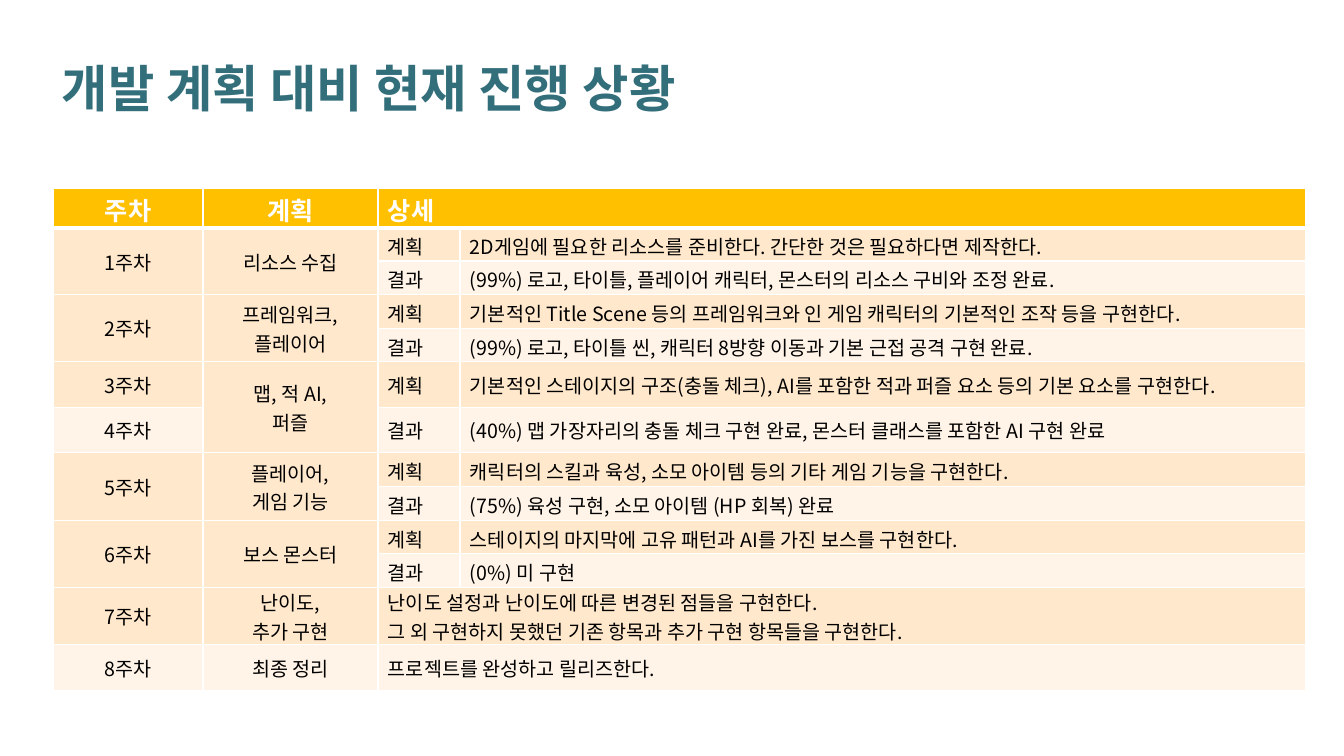
from lxml import etree
from pptx import Presentation
from pptx.dml.color import RGBColor
from pptx.enum.text import MSO_ANCHOR, PP_ALIGN
from pptx.oxml.ns import qn
from pptx.util import Emu, Pt

CENTER, LEFT = PP_ALIGN.CENTER, PP_ALIGN.LEFT
TOP, MIDDLE = MSO_ANCHOR.TOP, MSO_ANCHOR.MIDDLE

TITLE = "개발 계획 대비 현재 진행 상황"
TITLE_BOX = (52, 52, 683, 72)
HANGUL_FONT = "Noto Sans CJK KR"
TITLE_FORMAT = {"name": "Roboto", "size": Pt(36), "bold": True}
HEADER_FORMAT = {"name": HANGUL_FONT, "size": Pt(18), "bold": True}
BODY_FORMAT = {"name": HANGUL_FONT, "size": Pt(14), "bold": False}
TITLE_COLOR, WHITE, BLACK = "336E7B", "FFFFFF", "000000"
HEADER_FILL, DARK_BAND, LIGHT_BAND = "FFC000", "FFE8CC", "FFF4E7"

# An empty string continues a merged cell.
ROWS = [
    ("주차", "계획", "상세", ""),
    ("1주차", "리소스 수집", "계획", "2D게임에 필요한 리소스를 준비한다. 간단한 것은 필요하다면 제작한다."),
    ("", "", "결과", "(99%) 로고, 타이틀, 플레이어 캐릭터, 몬스터의 리소스 구비와 조정 완료."),
    ("2주차", "프레임워크,\n플레이어", "계획",
     "기본적인 Title Scene 등의 프레임워크와 인 게임 캐릭터의 기본적인 조작 등을 구현한다."),
    ("", "", "결과", "(99%) 로고, 타이틀 씬, 캐릭터 8방향 이동과 기본 근접 공격 구현 완료."),
    ("3주차", "맵, 적 AI,\n퍼즐", "계획",
     "기본적인 스테이지의 구조(충돌 체크), AI를 포함한 적과 퍼즐 요소 등의 기본 요소를 구현한다."),
    ("4주차", "", "결과", "(40%) 맵 가장자리의 충돌 체크 구현 완료, 몬스터 클래스를 포함한 AI 구현 완료"),
    ("5주차", "플레이어,\n게임 기능", "계획", "캐릭터의 스킬과 육성, 소모 아이템 등의 기타 게임 기능을 구현한다."),
    ("", "", "결과", "(75%) 육성 구현, 소모 아이템 (HP 회복) 완료"),
    ("6주차", "보스 몬스터", "계획", "스테이지의 마지막에 고유 패턴과 AI를 가진 보스를 구현한다."),
    ("", "", "결과", "(0%) 미 구현"),
    ("7주차", "난이도,\n추가 구현",
     "난이도 설정과 난이도에 따른 변경된 점들을 구현한다.\n"
     "그 외 구현하지 못했던 기존 항목과 추가 구현 항목들을 구현한다.", ""),
    ("8주차", "최종 정리", "프로젝트를 완성하고 릴리즈한다.", ""),
]
TABLE_LEFT, TABLE_TOP = 53, 188
COLUMN_WIDTHS = [150, 175, 82, 846]
ROW_HEIGHTS = [40, 33, 34, 34, 33, 46, 45, 34, 34, 33, 34, 57, 46]
SHORT_ROW = 40


def px(length):
    return Emu(round(length * 914400 / 100.8))


def color(value):
    return RGBColor.from_string(value)


def write(frame, text, font_format, text_color, align):
    frame.text = text
    for para in frame.paragraphs:
        para.alignment = align
        for span in para.runs:
            for key, value in font_format.items():
                setattr(span.font, key, value)
            span.font.color.rgb = color(text_color)
            hangul = etree.SubElement(span.font._element, qn("a:ea"))
            hangul.set("typeface", HANGUL_FONT)


def set_borders(cell, widths):
    """Draw white borders; widths are points for left, right, top, bottom."""
    properties = cell._tc.get_or_add_tcPr()
    for index, (side, width) in enumerate(zip("LRTB", widths)):
        line = etree.Element(qn(f"a:ln{side}"), w=str(Pt(width)))
        fill = etree.SubElement(line, qn("a:solidFill"))
        etree.SubElement(fill, qn("a:srgbClr"), val=WHITE)
        properties.insert(index, line)


def merge_blanks(table):
    """Join each empty cell to the one left of it or above it."""
    for row, texts in enumerate(ROWS):
        for column, text in enumerate(texts):
            if not text:
                start = (row, column - 1) if column == 3 else (row - 1, column)
                table.cell(*start).merge(table.cell(row, column))


def fill_cell(cell, row, column, text):
    header = row == 0
    band = DARK_BAND if row % 2 else LIGHT_BAND
    cell.fill.solid()
    cell.fill.fore_color.rgb = color(HEADER_FILL if header else band)
    set_borders(cell, (1, 1, 3 if row == 1 else 1, 3 if header else 1))
    low_text = ROW_HEIGHTS[row] <= SHORT_ROW and (header or column > 1)
    cell.margin_left = cell.margin_right = px(10)
    cell.margin_top, cell.margin_bottom = px(3 if low_text else 0), 0
    cell.vertical_anchor = TOP if header and column > 1 else MIDDLE
    write(cell.text_frame, text, HEADER_FORMAT if header else BODY_FORMAT,
          WHITE if header else BLACK, CENTER if column < 2 else LEFT)


def add_plan_table(slide):
    frame = slide.shapes.add_table(
        len(ROWS), len(COLUMN_WIDTHS), px(TABLE_LEFT), px(TABLE_TOP),
        px(sum(COLUMN_WIDTHS)), px(sum(ROW_HEIGHTS)))
    table = frame.table
    for column, width in zip(table.columns, COLUMN_WIDTHS):
        column.width = px(width)
    for row, height in zip(table.rows, ROW_HEIGHTS):
        row.height = px(height)
    for row, texts in enumerate(ROWS):
        for column, text in enumerate(texts):
            fill_cell(table.cell(row, column), row, column, text)
    merge_blanks(table)


def main():
    deck = Presentation()
    deck.slide_width, deck.slide_height = px(1344), px(756)
    slide = deck.slides.add_slide(deck.slide_layouts[6])
    title = slide.shapes.add_textbox(*map(px, TITLE_BOX))
    title.text_frame.word_wrap = False
    write(title.text_frame, TITLE, TITLE_FORMAT, TITLE_COLOR, LEFT)
    add_plan_table(slide)
    deck.save("out.pptx")


if __name__ == "__main__":
    main()
